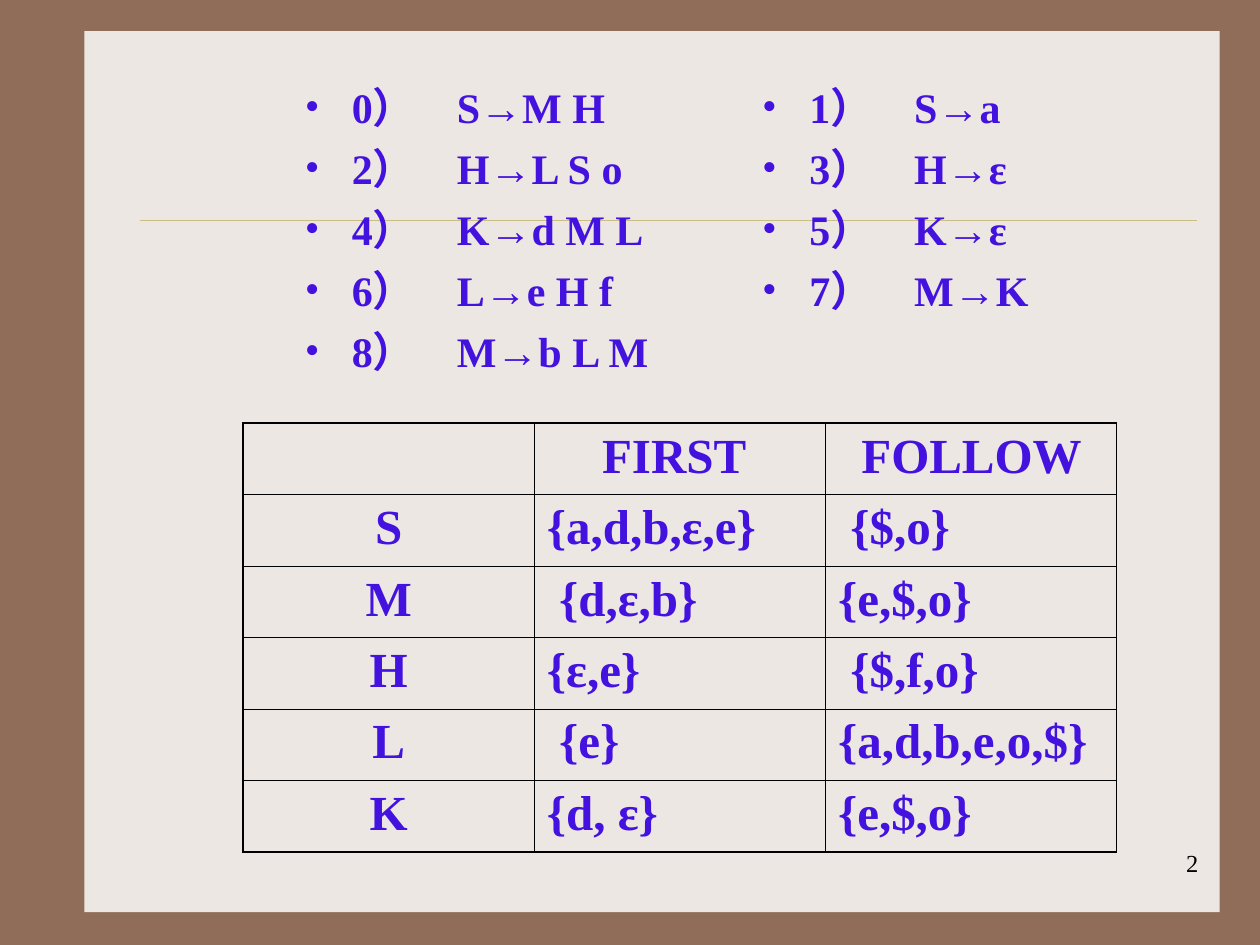
from lxml import etree
from pptx import Presentation
from pptx.dml.color import RGBColor
from pptx.enum.shapes import MSO_CONNECTOR, MSO_SHAPE
from pptx.enum.text import MSO_ANCHOR, MSO_AUTO_SIZE, PP_ALIGN
from pptx.oxml.ns import qn
from pptx.util import Cm, Pt

RECT = MSO_SHAPE.RECTANGLE
STRAIGHT = MSO_CONNECTOR.STRAIGHT
TOP = MSO_ANCHOR.TOP
FIXED = MSO_AUTO_SIZE.NONE
LEFT, CENTER, RIGHT = PP_ALIGN.LEFT, PP_ALIGN.CENTER, PP_ALIGN.RIGHT

COLORS = {
    "back": "906D58",
    "panel": "EDE7E3",
    "rule": "CBBD83",
    "text": "4312DE",
    "ink": "000000",
}
FONT = "Times New Roman"
THIN, THICK = 0.45, 1.08

RULES = [
    "S→M H", "S→a", "H→L S o", "H→ε", "K→d M L",
    "K→ε", "L→e H f", "M→K", "M→b L M",
]
SETS = [
    ["", "FIRST ", " FOLLOW "],
    ["S", "{a,d,b,ε,e}", " {$,o}"],
    ["M", " {d,ε,b}", "{e,$,o}"],
    ["H", "{ε,e}", " {$,f,o}"],
    ["L", " {e}", "{a,d,b,e,o,$}"],
    ["K", "{d, ε}", "{e,$,o}"],
]


def color(name):
    return RGBColor.from_string(COLORS[name])


def write(para, text, size=24, tint="text", bold=True, align=LEFT, before=0):
    para.alignment = align
    para.space_before = Pt(before)
    run = para.add_run()
    run.text = text
    font = run.font
    font.name, font.size, font.bold = FONT, Pt(size), bold
    font.color.rgb = color(tint)


def place(shape, left, top, width, height):
    shape.left, shape.top = Cm(left), Cm(top)
    shape.width, shape.height = Cm(width), Cm(height)


def add_panel(slide):
    panel = slide.shapes.add_shape(RECT, Cm(1.7), Cm(0.63), Cm(22.89), Cm(17.76))
    panel.shadow.inherit = False
    panel.fill.solid()
    panel.fill.fore_color.rgb = color("panel")
    panel.line.fill.background()
    return panel


def add_rule(slide):
    rule = slide.shapes.add_connector(STRAIGHT, Cm(2.82), Cm(4.44), Cm(24.13), Cm(4.44))
    rule.line.color.rgb = color("rule")
    rule.line.width = Pt(0.25)
    etree.SubElement(rule.element.spPr, qn("a:effectLst"))
    return rule


def send_back(slide, *shapes):
    tree = slide.shapes.element
    for place_no, shape in enumerate(shapes, 2):
        tree.insert(place_no, shape.element)


def set_bullet(para):
    props = para._p.get_or_add_pPr()
    props.set("marL", str(Cm(0.95)))
    props.set("indent", str(-Cm(0.95)))
    etree.SubElement(props, qn("a:buFont"), typeface=FONT)
    etree.SubElement(props, qn("a:buChar"), char="•")


def fill_list(body, first, box):
    place(body, *box)
    frame = body.text_frame
    frame.auto_size = FIXED
    frame.vertical_anchor = TOP
    for num in range(first, len(RULES), 2):
        para = frame.paragraphs[0] if num == first else frame.add_paragraph()
        write(para, f"{num}）　{RULES[num]}", before=6)
        set_bullet(para)


def set_border(cell, sides):
    props = cell._tc.get_or_add_tcPr()
    for index, (side, outer) in enumerate(sides.items()):
        line = etree.Element(qn(f"a:ln{side}"), w=str(Pt(THICK if outer else THIN)))
        fill = etree.SubElement(line, qn("a:solidFill"))
        etree.SubElement(fill, qn("a:srgbClr"), val=COLORS["ink"])
        props.insert(index, line)


def add_sets(slide):
    rows, cols = len(SETS), len(SETS[0])
    frame = slide.shapes.add_table(
        rows, cols, Cm(4.9), Cm(8.53), Cm(5.87 * cols), Cm(1.44 * rows))
    table = frame.table
    table.first_row = table.horz_banding = False
    for row, texts in enumerate(SETS):
        for col, text in enumerate(texts):
            cell = table.cell(row, col)
            cell.fill.background()
            set_border(cell, {
                "L": col == 0, "R": col == cols - 1,
                "T": row == 0, "B": row == rows - 1,
            })
            if text:
                align = CENTER if row == 0 or col == 0 else LEFT
                write(cell.text_frame.paragraphs[0], text, size=28, align=align, before=7)


def add_number(slide):
    box = slide.shapes.add_textbox(Cm(19.13), Cm(16.97), Cm(5.28), Cm(1.27))
    box.text_frame.word_wrap = True
    write(box.text_frame.paragraphs[0], "2", size=14, tint="ink", bold=False, align=RIGHT)


def main():
    deck = Presentation()
    deck.slide_width, deck.slide_height = Cm(25.4), Cm(19.05)
    slide = deck.slides.add_slide(deck.slide_layouts[3])
    slide.background.fill.solid()
    slide.background.fill.fore_color.rgb = color("back")
    title, even, odd = slide.placeholders
    title.element.getparent().remove(title.element)
    send_back(slide, add_panel(slide), add_rule(slide))
    add_sets(slide)
    fill_list(even, 0, (5.89, 1.52, 8.2, 6.2))
    fill_list(odd, 1, (15.11, 1.52, 6.81, 5.99))
    add_number(slide)
    deck.save("out.pptx")


if __name__ == "__main__":
    main()
